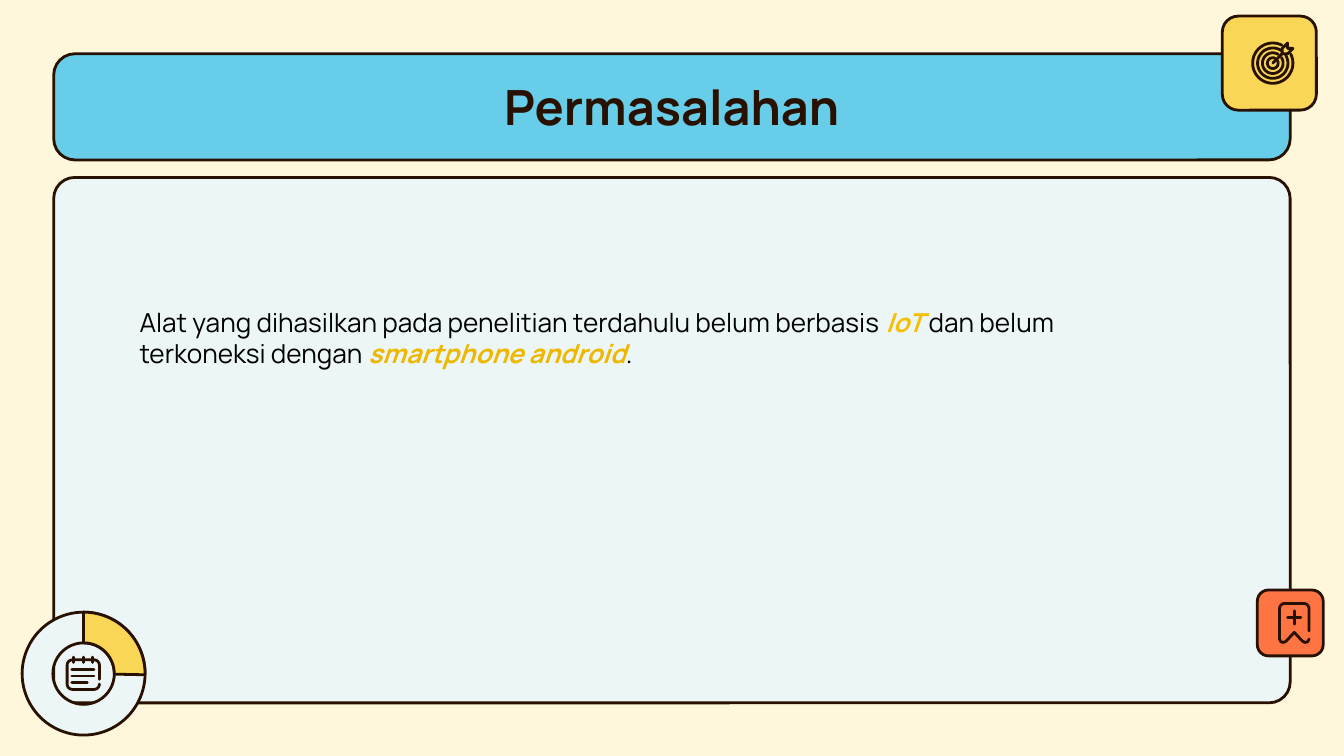
from dataclasses import dataclass
from math import cos, radians, sin

from lxml.etree import SubElement
from pptx import Presentation
from pptx.dml.color import RGBColor
from pptx.enum.shapes import MSO_SHAPE
from pptx.enum.text import MSO_ANCHOR, PP_ALIGN
from pptx.oxml.ns import qn
from pptx.util import Inches, Pt


@dataclass(frozen=True)
class Theme:
    font: str = "Manrope"
    cream: str = "FFF7DC"
    ice: str = "EDF6F7"
    sky: str = "68CDE9"
    sun: str = "F9D656"
    coral: str = "FE7443"
    ink: str = "281101"
    black: str = "000000"
    gold: str = "F3C009"
    amber: str = "EEB700"
    head: float = 26
    body: float = 14
    edge: float = 1.5


# Grid: 100 columns by 56.25 rows, each cell a tenth of an inch
def cell(n):
    return Inches(n / 10)


def color(code):
    return RGBColor.from_string(code)


def arc(x, y, size, start, end, steps=6):
    """Points on a circle, angles in degrees clockwise from the right."""
    turns = [radians(start + (end - start) * i / steps) for i in range(steps + 1)]
    return [(x + size * cos(t), y + size * sin(t)) for t in turns]


class Deck:
    def __init__(self, theme):
        self.theme = theme
        self.file = Presentation()
        self.file.slide_width, self.file.slide_height = cell(100), cell(56.25)
        self.slide = self.file.slides.add_slide(self.file.slide_layouts[5])
        fill = self.slide.background.fill
        fill.solid()
        fill.fore_color.rgb = color(theme.cream)

    def stroke(self, shape, width):
        shape.shadow.inherit = False
        shape.line.color.rgb = color(self.theme.ink)
        shape.line.width = Pt(width)

    def shape(self, kind, box, fill, *adjust):
        item = self.slide.shapes.add_shape(kind, *map(cell, box))
        for i, value in enumerate(adjust):
            item.adjustments[i] = value
        item.fill.solid()
        item.fill.fore_color.rgb = color(fill)
        self.stroke(item, self.theme.edge)

    def icon(self, x, y, lines):
        """Line art around a centre, points in tenths of a cell."""
        def place(point):
            return cell(x + point[0] / 10), cell(y + point[1] / 10)

        pen = self.slide.shapes.build_freeform(*place(lines[0][0]))
        for i, line in enumerate(lines):
            if i:
                pen.move_to(*place(line[0]))
            pen.add_line_segments([place(p) for p in line[1:]], close=False)
        item = pen.convert_to_shape()
        item.fill.background()
        self.stroke(item, self.theme.edge)
        edge = item.line._get_or_add_ln()
        edge.set("cap", "rnd")
        SubElement(edge, qn("a:round"))

    def title(self, box, text):
        item = self.slide.shapes.title
        item.left, item.top, item.width, item.height = map(cell, box)
        frame = item.text_frame
        frame.text = text
        frame.vertical_anchor = MSO_ANCHOR.MIDDLE
        self.inset(frame)
        para = frame.paragraphs[0]
        para.alignment = PP_ALIGN.CENTER
        self.type(para, self.theme.head)
        para.font.bold = True
        para.font.color.rgb = color(self.theme.ink)
        # Bring the title in front of its bar
        self.slide.shapes.element.append(item.element)

    def text(self, box, indent, parts):
        frame = self.slide.shapes.add_textbox(*map(cell, box)).text_frame
        self.inset(frame)
        para = frame.paragraphs[0]
        props = para._p.get_or_add_pPr()
        props.set("marL", str(cell(indent)))
        props.set("indent", "0")
        self.type(para, self.theme.body)
        for words, shade, strong in parts:
            run = para.add_run()
            run.text = words
            run.font.color.rgb = color(shade)
            run.font.bold = run.font.italic = strong

    def inset(self, frame):
        frame.word_wrap = True
        frame.margin_left = frame.margin_right = cell(1)
        frame.margin_top = frame.margin_bottom = cell(1)

    def type(self, para, size):
        para.font.name = self.theme.font
        para.font.size = Pt(size)


def main():
    look = Theme()
    deck = Deck(look)
    card = MSO_SHAPE.ROUNDED_RECTANGLE

    # Panel, title bar and text
    deck.shape(card, (4, 13.2, 92, 39.1), look.ice, 0.04)
    deck.shape(card, (4, 4, 92, 7.9), look.sky, 0.2)
    deck.title((7.85, 4.65, 84.3, 6.5), "Permasalahan")
    deck.text((4.9, 21.8, 81.6, 32.9), 4.5, [
        ("Alat yang dihasilkan pada penelitian terdahulu belum berbasis ", look.black, False),
        ("IoT", look.gold, True),
        (" dan belum terkoneksi dengan ", look.black, False),
        ("smartphone android", look.amber, True),
        (".", look.black, False),
    ])

    # Ring with a highlighted quarter and a notepad
    ring = (1.65, 45.55, 9.15, 9.15)
    deck.shape(MSO_SHAPE.DONUT, ring, look.ice, 0.25)
    pad = [(12, 3.5)]
    for x, y, start in ((8, -7, 0), (-8, -7, -90), (-8, 7, -180), (8, 7, -270)):
        pad += arc(x, y, 4, start, start - 90)
    rows = [[(-8.5, y), (end, y)] for y, end in ((-4, 8), (1, 8), (6, 3))]
    pins = [[(x, -13), (x, -9)] for x in (-7, 0, 7)]
    deck.icon(6.2, 50.2, [pad, *rows, *pins])
    deck.shape(MSO_SHAPE.BLOCK_ARC, ring, look.sun, 162, 0.65, 0.25)

    # Target badge
    deck.shape(card, (90.95, 1.2, 7, 7), look.sun, 0.17)
    rings = [arc(0, 0, size, -45 + gap, 315 - gap, 40)
             for size, gap in ((15, 18), (11.3, 12), (7.7, 12), (4, 20))]
    shaft = [(0, 0), (7, -7)]
    tail = [(7, -7), (7, -11), (11, -15), (11, -11), (15, -11), (11, -7), (7, -7)]
    deck.icon(94.7, 4.7, [*rings, shaft, tail])

    # Bookmark badge
    deck.shape(card, (93.55, 43.9, 4.9, 4.9), look.coral, 0.17)
    foot = [(11, 12), (10, 14), (8, 14.5), (6, 13.5)]
    mark = [(11, 6), *arc(7, -10.5, 4, 0, -90), *arc(-7, -10.5, 4, -90, -180),
            *[(-x, y) for x, y in foot], (0, 7), *reversed(foot)]
    plus = [[(-5, -4), (5, -4)], [(0, -9), (0, 1)]]
    deck.icon(96.3, 46.35, [mark, *plus])

    deck.file.save("out.pptx")


if __name__ == "__main__":
    main()
